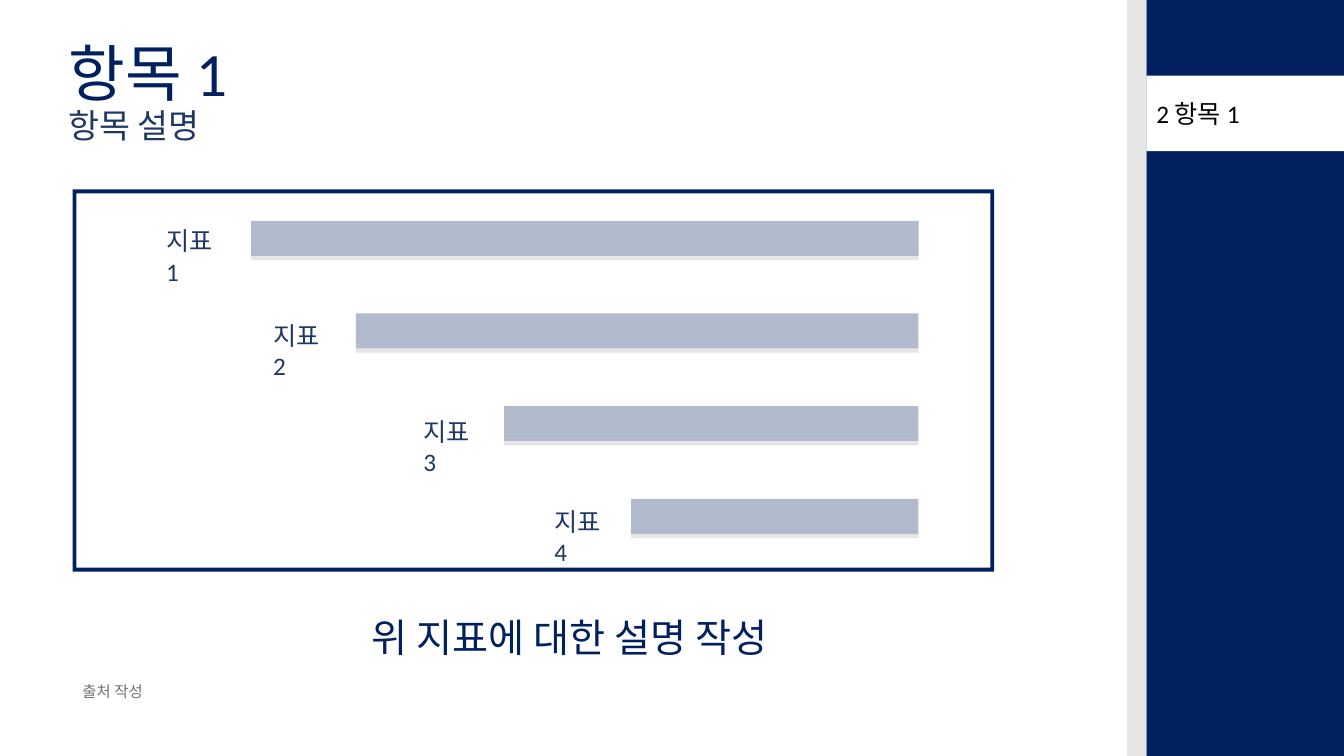
from dataclasses import dataclass

from lxml import etree
from pptx import Presentation
from pptx.dml.color import RGBColor
from pptx.enum.shapes import MSO_SHAPE
from pptx.enum.text import MSO_ANCHOR, MSO_AUTO_SIZE, PP_ALIGN
from pptx.oxml.ns import qn
from pptx.util import Inches, Pt

RECT, FRAME = MSO_SHAPE.RECTANGLE, MSO_SHAPE.FRAME
TOP, LEFT, NO_FIT = MSO_ANCHOR.TOP, PP_ALIGN.LEFT, MSO_AUTO_SIZE.NONE
TITLE_ONLY = 5


@dataclass(frozen=True)
class Theme:
    font: str = "Calibri"
    navy: str = "002060"
    slate: str = "203864"
    silver: str = "E7E6E6"
    gray: str = "767171"
    white: str = "FFFFFF"
    black: str = "000000"
    title: int = 44
    message: int = 28
    subtitle: int = 24
    body: int = 18
    source: int = 11


class Deck:
    def __init__(self, prs, theme):
        self.theme = theme
        self.slide = prs.slides.add_slide(prs.slide_layouts[TITLE_ONLY])

    def style(self, r, size, color):
        r.font.name = self.theme.font
        r.font.size = Pt(size)
        r.font.color.rgb = RGBColor.from_string(color)

    def title(self, heading, subtitle, x, y, w, h):
        t = self.theme
        sp = self.slide.shapes.title
        sp.left, sp.top, sp.width, sp.height = map(Inches, (x, y, w, h))
        tf = sp.text_frame
        tf.text = f"{heading}\v{subtitle}"
        tf.vertical_anchor = TOP
        tf.auto_size = NO_FIT
        p = tf.paragraphs[0]
        p.alignment = LEFT
        p.line_spacing = 0.9
        self.style(p.runs[0], t.title, t.navy)
        self.style(p.runs[1], t.subtitle, t.slate)

    def shape(self, x, y, w, h, color, kind=RECT, alpha=None):
        sp = self.slide.shapes.add_shape(kind, *map(Inches, (x, y, w, h)))
        sp.shadow.inherit = False
        sp.fill.solid()
        sp.fill.fore_color.rgb = RGBColor.from_string(color)
        sp.line.fill.background()
        if alpha is not None:
            clr = sp._element.spPr.find(".//" + qn("a:srgbClr"))
            etree.SubElement(clr, qn("a:alpha")).set("val", str(alpha * 1000))
        return sp

    def text(self, text, x, y, w, h, size, color, wrap=False):
        tf = self.slide.shapes.add_textbox(*map(Inches, (x, y, w, h))).text_frame
        tf.word_wrap = wrap
        tf.text = text
        p = tf.paragraphs[0]
        p.alignment = LEFT
        self.style(p.runs[0], size, color)

    def indicator(self, label, label_x, label_y, bar_x, bar_y, bar_right):
        t = self.theme
        w = bar_right - bar_x
        self.shape(bar_x, bar_y, w, 0.32, t.navy, alpha=30)
        self.shape(bar_x, bar_y + 0.32, w, 0.03, t.navy, alpha=30)
        self.shape(bar_x, bar_y + 0.35, w, 0.04, t.silver)
        self.text(label, label_x, label_y, 0.8, 0.3, t.body, t.slate, wrap=True)


prs = Presentation()
prs.slide_width, prs.slide_height = Inches(13.33), Inches(7.5)
theme = Theme()
s = Deck(prs, theme)

s.shape(11.37, 0, 1.96, 7.5, theme.navy)
s.shape(11.37, 0.75, 1.96, 0.75, theme.white)
s.text("2 항목 1", 11.37, 0.93, 1.16, 0.4, theme.body, theme.black)
s.shape(11.18, 0, 0.19, 7.5, theme.silver)
s.title("항목 1", "항목 설명", 0.58, 0.38, 5.61, 2.61)

indicators = [
    ("지표 1", 1.55, 2.19, 2.49),
    ("지표 2", 2.61, 3.13, 3.53),
    ("지표 3", 4.1, 4.08, 5.0),
    ("지표 4", 5.4, 4.97, 6.26),
]
for i, (label, label_x, label_y, bar_x) in enumerate(indicators):
    s.indicator(label, label_x, label_y, bar_x, 2.19 + 0.92 * i, 9.11)

frame = s.shape(0.72, 1.88, 9.14, 3.79, theme.navy, kind=FRAME)
frame.adjustments[0] = 0.01
s.text("위 지표에 대한 설명 작성", 3.59, 6.04, 4.42, 0.57, theme.message, theme.navy)
s.text("출처 작성", 0.72, 6.72, 0.83, 0.29, theme.source, theme.gray)

prs.save("out.pptx")
